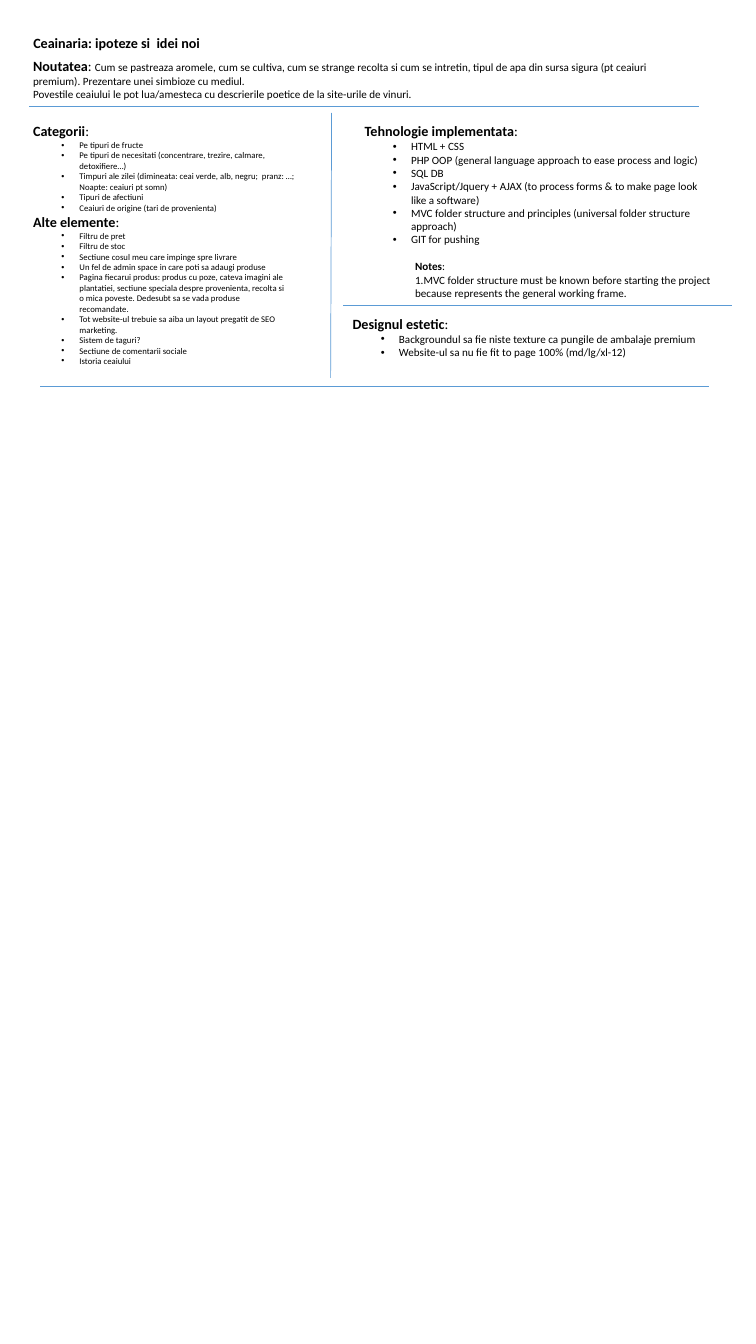
from dataclasses import dataclass

from lxml import etree
from pptx import Presentation
from pptx import util as u
from pptx.dml import color
from pptx.enum import shapes, text
from pptx.oxml import ns


@dataclass(frozen=True)
class Theme:
    font: str = "Calibri"
    bullet_font: str = "Arial"
    ink: str = "000000"
    rule: str = "5B9BD5"
    heading: float = 10.1
    body: float = 7.9
    small: float = 6.2
    rule_width: float = 0.5
    bullet_margin: float = 33.12
    bullet_hang: float = 12.96
    note_margin: float = 36
    note_gap: float = 9.64


def apply(target, values):
    for name, value in values.items():
        setattr(target, name, value)


class SlideBuilder:
    def __init__(self, slide, theme):
        self.slide = slide
        self.theme = theme

    def place(self, shape, left, top, width, height):
        apply(shape, {"left": u.Pt(left), "top": u.Pt(top),
                      "width": u.Pt(width), "height": u.Pt(height)})

    def run(self, paragraph, words, size, bold=False):
        run = paragraph.add_run()
        apply(run, {"text": words})
        apply(run.font, {"name": self.theme.font, "size": u.Pt(size), "bold": bold})
        run.font.color.rgb = color.RGBColor.from_string(self.theme.ink)

    def title(self, words, *box):
        title = self.slide.shapes.title
        self.place(title, *box)
        apply(title.text_frame, {"word_wrap": False,
                                 "auto_size": text.MSO_AUTO_SIZE.NONE,
                                 "vertical_anchor": text.MSO_ANCHOR.TOP})
        paragraph = title.text_frame.paragraphs[0]
        paragraph.alignment = text.PP_ALIGN.LEFT
        self.run(paragraph, words, self.theme.heading, True)

    def section(self, heading, *box):
        shape = self.slide.shapes.add_textbox(*(u.Pt(value) for value in box))
        frame = shape.text_frame
        apply(frame, {"word_wrap": True, "auto_size": text.MSO_AUTO_SIZE.SHAPE_TO_FIT_TEXT})
        paragraph = frame.paragraphs[0]
        self.run(paragraph, heading, self.theme.heading, True)
        self.run(paragraph, ": ", self.theme.heading)
        return frame

    def indented(self, frame, margin, hang=0):
        paragraph = frame.add_paragraph()
        paragraph.level = 1
        properties = paragraph._p.get_or_add_pPr()
        properties.set("marL", str(u.Pt(margin)))
        properties.set("indent", str(-u.Pt(hang)))
        return paragraph

    def bullets(self, frame, items, size):
        for item in items:
            paragraph = self.indented(frame, self.theme.bullet_margin, self.theme.bullet_hang)
            properties = paragraph._p.get_or_add_pPr()
            for tag, name, value in (("a:buFont", "typeface", self.theme.bullet_font),
                                     ("a:buChar", "char", "•")):
                etree.SubElement(properties, ns.qn(tag)).set(name, value)
            self.run(paragraph, item, size)

    def notes(self, frame, heading, words):
        paragraph = self.indented(frame, self.theme.note_margin)
        paragraph.space_before = u.Pt(self.theme.note_gap)
        self.run(paragraph, heading, self.theme.body, True)
        self.run(paragraph, ":", self.theme.body)
        self.run(self.indented(frame, self.theme.note_margin), words, self.theme.body)

    def rule(self, *ends):
        line = self.slide.shapes.add_connector(
            shapes.MSO_CONNECTOR.STRAIGHT, *(u.Pt(value) for value in ends))
        line.line.width = u.Pt(self.theme.rule_width)
        line.line.color.rgb = color.RGBColor.from_string(self.theme.rule)
        etree.SubElement(line._element.spPr, ns.qn("a:effectLst"))


LEFT = 16.56
COLUMNS_TOP = 84.24

presentation = Presentation()
apply(presentation, {"slide_width": u.Pt(540), "slide_height": u.Pt(960)})
theme = Theme()
builder = SlideBuilder(presentation.slides.add_slide(presentation.slide_layouts[5]), theme)

builder.title("Ceainaria: ipoteze si  idei noi", LEFT, 20.88, 135.36, 19.44)

novelty = builder.section("Noutatea", LEFT, 37.44, 481.68, 38.88)
builder.run(
    novelty.paragraphs[0],
    "Cum se pastreaza aromele, cum se cultiva, cum se strange recolta si cum se intretin, "
    "tipul de apa din sursa sigura (pt ceaiuri premium). Prezentare unei simbioze cu mediul.",
    theme.body)
builder.run(
    novelty.add_paragraph(),
    "Povestile ceaiului le pot lua/amesteca cu descrierile poetice de la site-urile de vinuri.",
    theme.body)

categories = builder.section("Categorii", LEFT, COLUMNS_TOP, 211.68, 72)
builder.bullets(categories, [
    "Pe tipuri de fructe",
    "Pe tipuri de necesitati (concentrare, trezire, calmare, detoxifiere…)",
    "Timpuri ale zilei (dimineata: ceai verde, alb, negru;  pranz: …; "
    "Noapte: ceaiuri pt somn)",
    "Tipuri de afectiuni",
    "Ceaiuri de origine (tari de provenienta)",
], theme.small)

elements = builder.section("Alte elemente", LEFT, 149.04, 195.12, 126.72)
builder.bullets(elements, [
    "Filtru de pret",
    "Filtru de stoc",
    "Sectiune cosul meu care impinge spre livrare",
    "Un fel de admin space in care poti sa adaugi produse",
    "Pagina fiecarui produs: produs cu poze, cateva imagini ale plantatiei, sectiune "
    "speciala despre provenienta, recolta si o mica poveste. Dedesubt sa se vada produse "
    "recomandate.",
    "Tot website-ul trebuie sa aiba un layout pregatit de SEO marketing.",
    "Sistem de taguri?",
    "Sectiune de comentarii sociale",
    "Istoria ceaiului",
], theme.small)

technology = builder.section("Tehnologie implementata", 253.44, COLUMNS_TOP, 261.36, 133.92)
builder.bullets(technology, [
    "HTML + CSS",
    "PHP OOP (general language approach to ease process and logic)",
    "SQL DB",
    "JavaScript/Jquery + AJAX (to process forms & to make page look like a software)",
    "MVC folder structure and principles (universal folder structure approach)",
    "GIT for pushing",
], theme.body)
builder.notes(
    technology, "Notes",
    "1.MVC folder structure must be known before starting the project because represents "
    "the general working frame.")

design = builder.section("Designul estetic", 244.8, 221.76, 261.36, 48.24)
builder.bullets(design, [
    "Backgroundul sa fie niste texture ca pungile de ambalaje premium",
    "Website-ul sa nu fie fit to page 100% (md/lg/xl-12)",
], theme.body)

for ends in ((236.88, 80.64, 236.16, 270),
             (498.96, 76.32, 20.88, 76.32),
             (522.72, 218.16, 244.8, 218.16),
             (506.16, 275.76, 28.8, 275.76)):
    builder.rule(*ends)

presentation.save("out.pptx")
